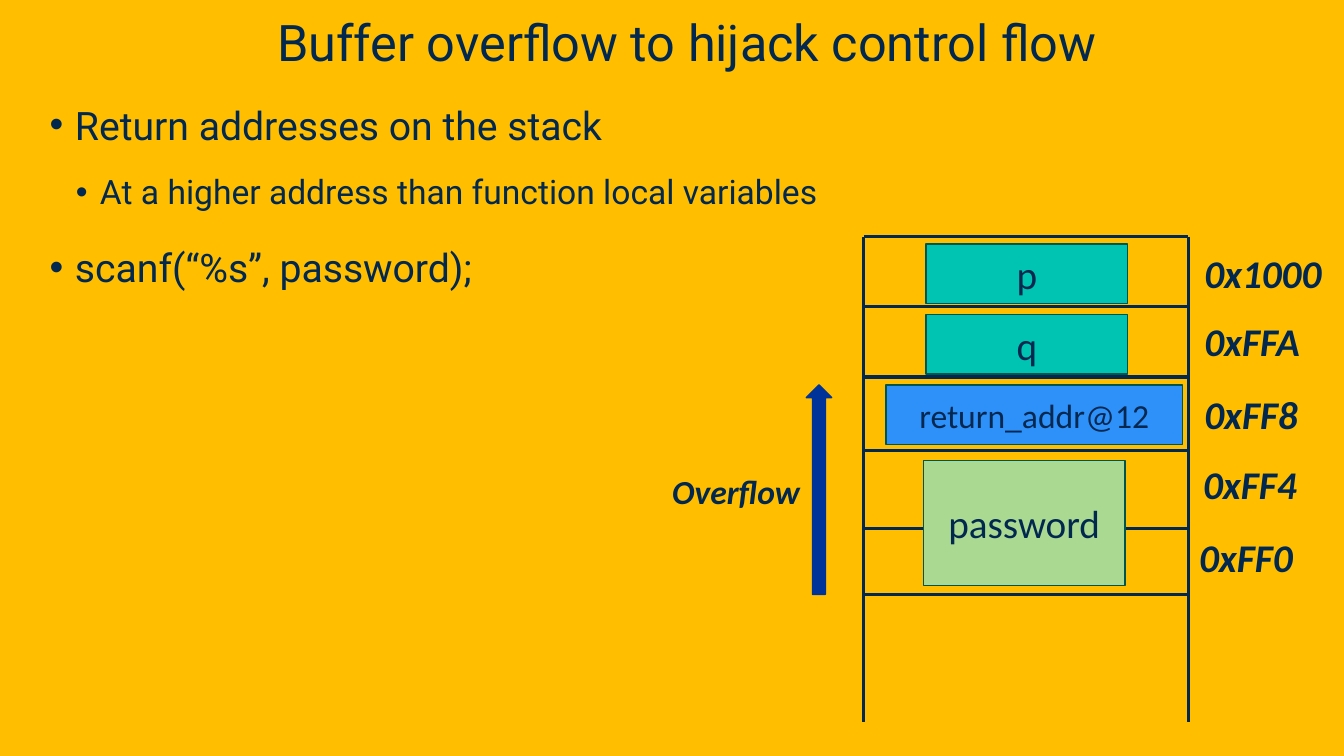
from lxml import etree
from pptx import Presentation
from pptx.dml.color import RGBColor
from pptx.enum.shapes import MSO_CONNECTOR, MSO_SHAPE
from pptx.enum.text import MSO_ANCHOR, PP_ALIGN
from pptx.oxml.ns import qn
from pptx.util import Cm, Pt

LINE = MSO_CONNECTOR.STRAIGHT
RECT, UP_ARROW = MSO_SHAPE.RECTANGLE, MSO_SHAPE.UP_ARROW
MIDDLE, BOTTOM = MSO_ANCHOR.MIDDLE, MSO_ANCHOR.BOTTOM
CENTER = PP_ALIGN.CENTER

AMBER = RGBColor(0xFF, 0xBE, 0x00)
NAVY = RGBColor(0x02, 0x28, 0x50)
TEAL = RGBColor(0x00, 0xC4, 0xB2)
DARK_TEAL = RGBColor(0x00, 0x56, 0x4E)
BLUE = RGBColor(0x2E, 0x91, 0xFA)
GREEN = RGBColor(0xAA, 0xDA, 0x91)
ARROW_BLUE = RGBColor(0x00, 0x33, 0x99)

# Stack layout in cm, measured from the top left of the stack
ROW_LINES = [0, 1.75, 3.53, 5.38, 7.34, 9.02]
ADDRESSES = [  # text, left, top, width
    ("0x1000", 8.33, 0.18, 3.5),
    ("0xFFA", 8.33, 1.91, 2.95),
    ("0xFF8", 8.33, 3.73, 2.9),
    ("0xFF4", 8.3, 5.51, 2.9),
    ("0xFF0", 8.2, 7.34, 2.9),
]
VARIABLES = [  # text, left, top, width, height, size, fill
    ("p", 1.57, 0.18, 5.08, 1.5, 28, TEAL),
    ("q", 1.57, 1.96, 5.08, 1.5, 28, TEAL),
    ("return_addr@12", 0.56, 3.73, 7.47, 1.5, 24, BLUE),
    ("password", 1.5, 5.64, 5.08, 3.15, 28, GREEN),
]
BULLETS = [  # text, level
    ("Return addresses on the stack", 0),
    ("At a higher address than function local variables", 1),
    ("scanf(“%s”, password);", 0),
]
LEVELS = [  # margin, hanging indent, size, space before
    (0.64, 0.64, 28, 10),
    (1.27, 0.61, 24, 5),
]


def add_run(p, text, size, font="Calibri", strong=False):
    r = p.add_run()
    r.text = text
    r.font.name = font
    r.font.size = Pt(size)
    r.font.color.rgb = NAVY
    if strong:
        r.font.bold = r.font.italic = True


def add_text_frame(s, left, top, width, height, wrap=True):
    box = s.shapes.add_textbox(Cm(left), Cm(top), Cm(width), Cm(height))
    tf = box.text_frame
    tf.word_wrap = wrap
    return tf


def add_label(s, text, left, top, width, height, size):
    tf = add_text_frame(s, left, top, width, height, wrap=False)
    add_run(tf.paragraphs[0], text, size, strong=True)


def add_line(s, x1, y1, x2, y2):
    line = s.shapes.add_connector(LINE, Cm(x1), Cm(y1), Cm(x2), Cm(y2))
    line.line.color.rgb = NAVY
    line.line.width = Pt(2.25)
    etree.SubElement(line._element.spPr, qn("a:effectLst"))


def add_block(s, kind, left, top, width, height, fill, outline):
    sp = s.shapes.add_shape(kind, Cm(left), Cm(top), Cm(width), Cm(height))
    sp.shadow.inherit = False
    sp.fill.solid()
    sp.fill.fore_color.rgb = fill
    sp.line.color.rgb = outline
    sp.line.width = Pt(1)
    return sp


def add_title(s, left, top, width, height):
    tf = add_text_frame(s, left, top, width, height)
    tf.vertical_anchor = BOTTOM
    p = tf.paragraphs[0]
    p.alignment = CENTER
    p._p.get_or_add_pPr().set("marL", str(Cm(0.76)))
    add_run(p, "Buffer overflow to hijack control flow", 36, "Roboto")


def add_bullets(s, left, top, width, height):
    tf = add_text_frame(s, left, top, width, height)
    for i, (text, level) in enumerate(BULLETS):
        margin, hanging, size, before = LEVELS[level]
        p = tf.add_paragraph() if i else tf.paragraphs[0]
        p.level = level
        p.line_spacing = 1.2
        p.space_before = Pt(before if i else 0)
        p.space_after = Pt(6)
        pPr = p._p.get_or_add_pPr()
        pPr.set("marL", str(Cm(margin)))
        pPr.set("indent", str(-Cm(hanging)))
        etree.SubElement(pPr, qn("a:buFont")).set("typeface", "Arial")
        etree.SubElement(pPr, qn("a:buChar")).set("char", "•")
        add_run(p, text, size, "Roboto")


def add_stack(s, left, top, width, height):
    # Addresses beside the rows
    for text, dx, dy, w in ADDRESSES:
        add_label(s, text, left + dx, top + dy, w, 1.45, 28)
    # Side walls and row lines
    right = left + width
    for x in (left, right):
        add_line(s, x, top, x, top + height)
    for dy in ROW_LINES:
        add_line(s, right, top + dy, left, top + dy)
    # Variables
    for text, dx, dy, w, h, size, fill in VARIABLES:
        sp = add_block(s, RECT, left + dx, top + dy, w, h, fill, DARK_TEAL)
        tf = sp.text_frame
        tf.word_wrap = True
        tf.vertical_anchor = MIDDLE
        p = tf.paragraphs[0]
        p.alignment = CENTER
        add_run(p, text, size)


def add_overflow(s, left, top, width, height):
    arrow_width = 0.64
    add_block(s, UP_ARROW, left + width - arrow_width, top, arrow_width, height,
              ARROW_BLUE, ARROW_BLUE)
    add_label(s, "Overflow", left, top + 2.03, 3.76, 1.27, 24)


def main():
    prs = Presentation()
    prs.slide_width, prs.slide_height = Cm(33.87), Cm(19.05)
    s = prs.slides.add_slide(prs.slide_layouts[6])
    s.background.fill.solid()
    s.background.fill.fore_color.rgb = AMBER
    add_bullets(s, 1, 2.18, 31.8, 14.5)
    add_title(s, 0, 0, 33.87, 1.93)
    add_stack(s, 21.77, 5.97, 8.18, 12.22)
    add_overflow(s, 16.69, 9.7, 4.27, 5.28)
    prs.save("out.pptx")


if __name__ == "__main__":
    main()
